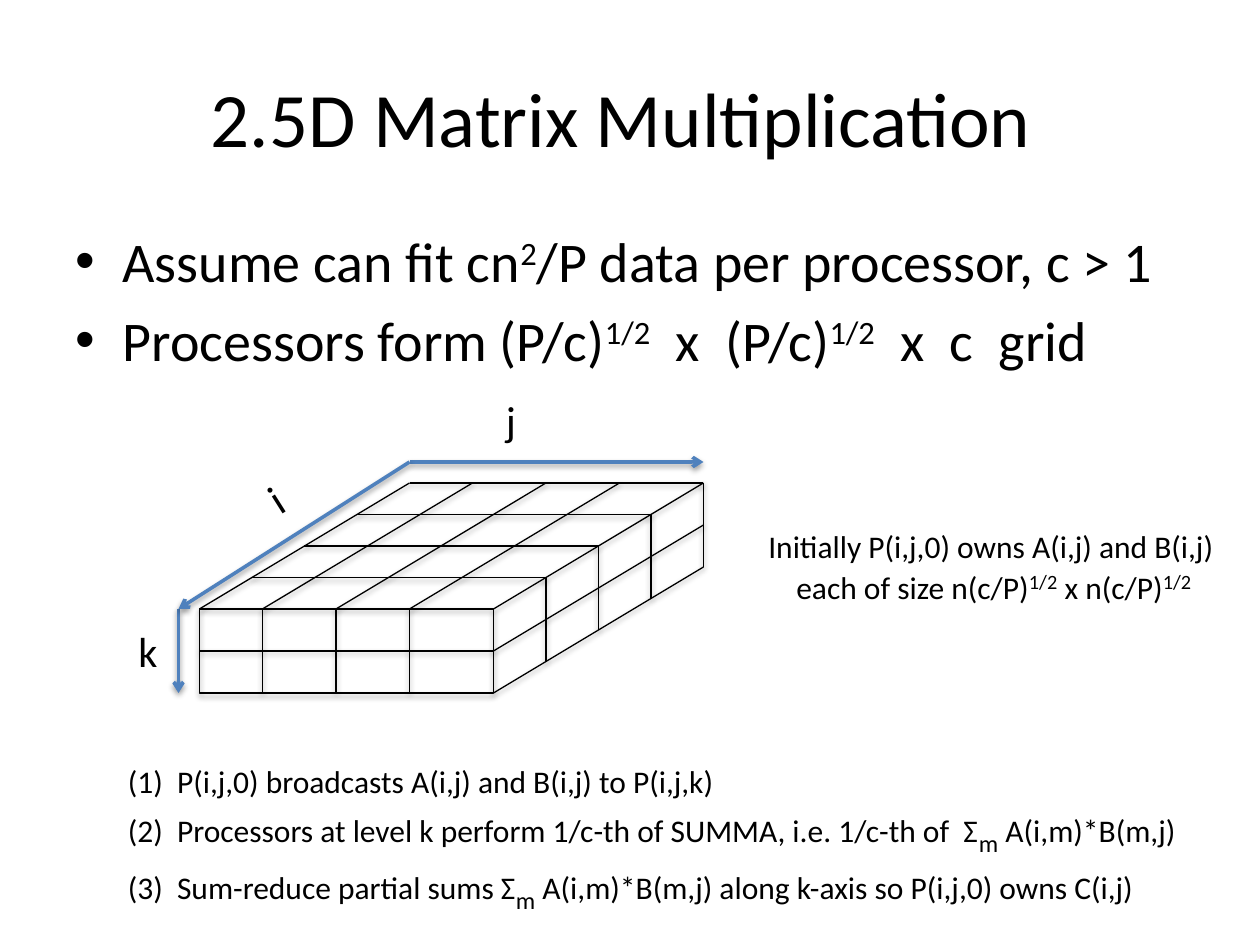
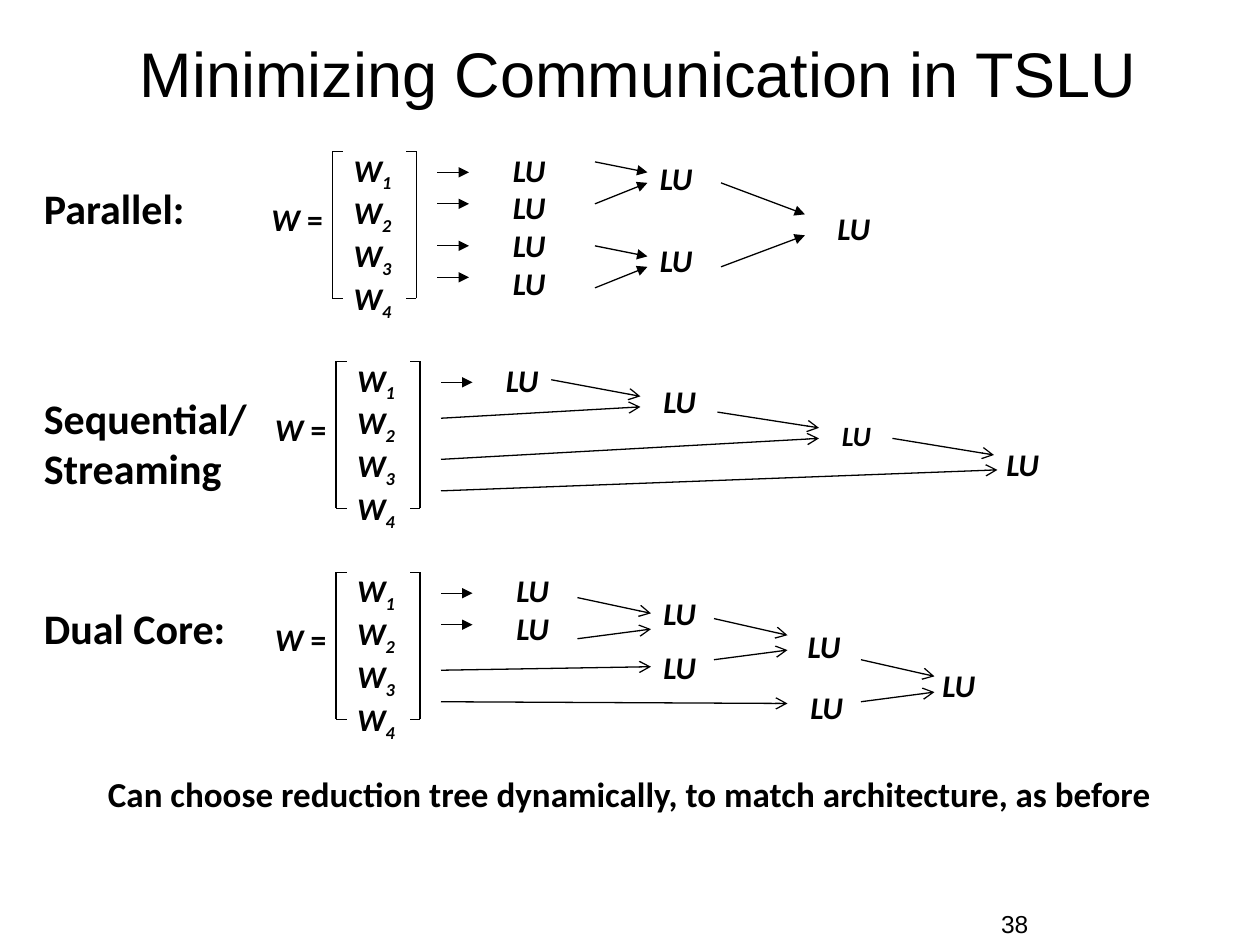
from lxml import etree
from pptx import Presentation
from pptx.dml.color import RGBColor
from pptx.enum.shapes import MSO_CONNECTOR, MSO_SHAPE
from pptx.enum.text import MSO_ANCHOR, MSO_AUTO_SIZE, PP_ALIGN
from pptx.oxml.ns import qn
from pptx.util import Pt

STRAIGHT = MSO_CONNECTOR.STRAIGHT
RECTANGLE = MSO_SHAPE.RECTANGLE
MIDDLE = MSO_ANCHOR.MIDDLE
FIXED, GROW = MSO_AUTO_SIZE.NONE, MSO_AUTO_SIZE.SHAPE_TO_FIT_TEXT
LEFT, CENTER = PP_ALIGN.LEFT, PP_ALIGN.CENTER
LEFT_SIDE, RIGHT_SIDE = 1, 3
TITLE_ONLY = 5

COLORS = {"ink": "000000", "axis": "4F81BD"}
BODY_FONT, PLAIN_FONT = "Calibri", "Arial"
SUPERSCRIPT, SUBSCRIPT = 30, -25

SCHEMES = [
    {
        "label": ["Parallel:"],
        "corner": (190, 86.5),
        "nodes": [(96, -4, 4, 18), (180, 1, 1, 18), (180, 47.5, 1, 18), (281.5, 29.5, 1, 18)],
        "inputs": [12, 30, 54, 72],
        "head": "triangle",
        "arrows": [
            (150, 6, 180, 12), (150, 30, 180, 18), (150, 54, 180, 60),
            (150, 78, 180, 66), (222, 18, 270, 36), (222, 66, 270, 48),
        ],
    },
    {
        "label": ["Sequential/", "Streaming"],
        "corner": (192, 206.5),
        "nodes": [(90, -4, 1, 18), (180, 8, 1, 18), (282, 29, 1, 16), (376, 44, 1, 18)],
        "inputs": [12],
        "head": "arrow",
        "arrows": [
            (60, 32.5, 174, 26), (123, 10.5, 174, 20), (218, 29, 276, 38),
            (60, 56, 276, 44), (318, 44, 376, 53.5), (60, 74, 378, 62),
        ],
    },
    {
        "label": ["Dual Core:"],
        "corner": (192, 327),
        "nodes": [
            (96, -4, 2, 18), (180, 9, 1, 18), (180, 39.5, 1, 18),
            (262.5, 27.5, 1, 18), (264, 62.5, 1, 18), (339.5, 50, 1, 18),
        ],
        "inputs": [12, 30],
        "head": "arrow",
        "arrows": [
            (138, 14.5, 180, 23.5), (138, 38, 180, 32.5), (216, 26.5, 258, 36),
            (216, 50, 258, 44.5), (60, 74, 258, 75), (60, 56, 180, 54),
            (300, 50, 342, 59.5), (300, 74, 342, 68.5),
        ],
    },
]


def color(name):
    """Return the named colour."""
    return RGBColor.from_string(COLORS[name])


def add_run(paragraph, text, size, font=BODY_FONT, bold=False, italic=False, baseline=0):
    """Append one formatted run."""
    run = paragraph.add_run()
    run.text = text
    run.font.name = font
    run.font.size = Pt(size)
    run.font.bold = bold
    run.font.italic = italic
    run.font.color.rgb = color("ink")
    if baseline:
        run.font._element.set("baseline", str(baseline * 1000))


def add_text(shapes, box, paragraphs, size, wrap=False, align=LEFT, **style):
    """Add a text box; a run is a string or a pair of string and own style."""
    shape = shapes.add_textbox(*map(Pt, box))
    frame = shape.text_frame
    frame.word_wrap = wrap
    frame.auto_size = GROW
    for index, runs in enumerate(paragraphs):
        paragraph = frame.paragraphs[0] if index == 0 else frame.add_paragraph()
        paragraph.alignment = align
        for run in runs:
            text, own = (run, {}) if isinstance(run, str) else run
            add_run(paragraph, text, **{"size": size, **style, **own})
    return shape


def indent(paragraph, margin, first=0):
    """Set the left margin and first-line indent of a paragraph."""
    properties = paragraph._p.get_or_add_pPr()
    properties.set("marL", str(Pt(margin)))
    properties.set("indent", str(Pt(first)))
    return properties


def add_shadow(effects):
    """Put a soft shadow below the shape that owns the effect list."""
    shadow = etree.SubElement(
        effects, qn("a:outerShdw"), blurRad=str(Pt(3.15)), dist=str(Pt(1.6)),
        dir="5400000", rotWithShape="0")
    shade = etree.SubElement(shadow, qn("a:srgbClr"), val=COLORS["ink"])
    etree.SubElement(shade, qn("a:alpha"), val="38000")


def add_line(shapes, start, end, paint="ink", width=0.75, head=None, shadow=False):
    """Add a straight line, with an arrowhead at its end if one is named."""
    connector = shapes.add_connector(STRAIGHT, *map(Pt, (*start, *end)))
    connector.line.color.rgb = color(paint)
    connector.line.width = Pt(width)
    if head:
        etree.SubElement(connector.get_or_add_ln(), qn("a:tailEnd"), type=head)
    effects = etree.SubElement(connector.element.spPr, qn("a:effectLst"))
    if shadow:
        add_shadow(effects)
    return connector


def add_title_slide(presentation, text, box, size, font):
    """Add a title-only slide and format its title."""
    slide = presentation.slides.add_slide(presentation.slide_layouts[TITLE_ONLY])
    title = slide.shapes.title
    title.left, title.top, title.width, title.height = map(Pt, box)
    frame = title.text_frame
    frame.auto_size = FIXED
    frame.vertical_anchor = MIDDLE
    paragraph = frame.paragraphs[0]
    paragraph.alignment = CENTER
    add_run(paragraph, text, size, font)
    return slide


def add_bullets(shapes, box):
    """Add the bulleted assumptions."""
    power = {"baseline": SUPERSCRIPT}
    paragraphs = [
        ["Assume can fit cn", ("2", power), "/P data per processor, c > 1"],
        ["Processors form (P/c)", ("1/2", power), "  x  (P/c)", ("1/2", power), "  x  c  grid"],
    ]
    shape = add_text(shapes, box, paragraphs, 32, wrap=True)
    for paragraph in shape.text_frame.paragraphs:
        paragraph.space_before = Pt(6.4)
        properties = indent(paragraph, 27, -27)
        etree.SubElement(properties, qn("a:buFont"), typeface=PLAIN_FONT)
        etree.SubElement(properties, qn("a:buChar"), char="•")


def add_processor_block(slide, box):
    """Draw the processor grid as an oblique block with labelled axes."""
    left, top, width, height = box
    depth_x, depth_y = 120, -72
    right, bottom = left + width, top + height
    shapes = slide.shapes.add_group_shape().shapes

    front = shapes.add_shape(RECTANGLE, *map(Pt, box))
    front.fill.background()
    front.line.color.rgb = color("ink")
    front.line.width = Pt(1)
    front.shadow.inherit = False
    add_shadow(front.element.spPr.find(qn("a:effectLst")))

    def edge(start, end):
        """Draw one edge of the block."""
        return add_line(shapes, start, end, shadow=True)

    for column in (0, 36, 78, 120, width):
        x = left + column
        edge((x, top), (x + depth_x, top + depth_y))
        if 0 < column < width:
            edge((x, top), (x, bottom))
    for step in (0.25, 0.5, 0.75, 1):
        x, y = step * depth_x, top + step * depth_y
        edge((left + x, y), (right + x, y))
        edge((right + x, y), (right + x, y + height))
    middle = top + height / 2
    layer = edge((left, middle), (right, middle))
    layer.begin_connect(front, LEFT_SIDE)
    layer.end_connect(front, RIGHT_SIDE)
    side_layer = edge((right, middle), (right + depth_x, middle + depth_y))
    side_layer.begin_connect(front, RIGHT_SIDE)
    edge((right, bottom), (right + depth_x, bottom + depth_y))

    add_text(shapes, (left - 42, top + 6, 26, 36), [["k"]], 24)
    add_text(shapes, (left + 168, top - 126, 21.5, 36), [["j"]], 24)
    add_text(shapes, (left + 33.5, top - 81, 20, 36), [["i"]], 24).rotation = 327.6

    back = (left + depth_x, top + depth_y - 12)
    near = (left - 12, top)
    for start, end in (
        (back, (right + depth_x, back[1])),
        (near, (near[0], bottom)),
        (back, near),
    ):
        add_line(slide.shapes, start, end, "axis", 2, "arrow", shadow=True)


def add_ownership_note(shapes, box):
    """Add the note on the initial data layout."""
    power = {"baseline": SUPERSCRIPT, "size": 20}
    shape = add_text(shapes, box, [
        ["Initially P(i,j,0) owns A(i,j) and B(i,j)"],
        ["each of size n(c/P)", ("1/2", power), " x n(c/P)", ("1/2", power)],
    ], 18)
    indent(shape.text_frame.paragraphs[1], 16)


def add_steps(shapes, box):
    """Add the three steps of the algorithm."""
    index = ("m", {"baseline": SUBSCRIPT, "size": 24})
    add_text(shapes, box, [
        ["(1)  P(i,j,0) broadcasts A(i,j) and B(i,j) to P(i,j,k)"],
        ["(2)  Processors at level k perform 1/c-th of SUMMA, i.e. 1/c-th of  Σ",
         index, " A(i,m)*B(m,j)"],
        ["(3)  Sum-reduce partial sums Σ", index,
         " A(i,m)*B(m,j) along k-axis so P(i,j,0) owns C(i,j)"],
    ], 18, wrap=True)


def add_block_matrix(shapes, left, top):
    """Draw W = [W1 to W4] with the bracket corner at the given point."""
    width, height, tip = 48, 84, 6
    add_text(shapes, (left - 42, top + 24, 54, 29),
             [[("W", {"italic": True}), " ="]], 18, wrap=True, bold=True)
    blocks = [["W", (str(row), {"baseline": SUBSCRIPT})] for row in range(1, 5)]
    add_text(shapes, (left + 5, top - 4, 37.5, 94.5), blocks, 18, bold=True, italic=True)
    for x, inward in ((left, tip), (left + width, -tip)):
        add_line(shapes, (x, top), (x, top + height))
        for y in (top, top + height):
            add_line(shapes, (x, y), (x + inward, y))


def join_to_nodes(connector, nodes):
    """Join the arrow to each node whose side middle it touches."""
    near = Pt(1)
    for node in nodes:
        middle = node.top + node.height / 2
        if (abs(connector.begin_x - node.left - node.width) < near
                and abs(connector.begin_y - middle) < near):
            connector.begin_connect(node, RIGHT_SIDE)
        if abs(connector.end_x - node.left) < near and abs(connector.end_y - middle) < near:
            connector.end_connect(node, LEFT_SIDE)


def add_scheme(slide, scheme):
    """Draw one reduction tree relative to its bracket corner."""
    left, top = scheme["corner"]
    shapes = slide.shapes.add_group_shape().shapes
    label = [[line] for line in scheme["label"]]
    add_text(shapes, (18, top + 14, 155, 7 + 29 * len(label)), label, 24, wrap=True, bold=True)
    add_block_matrix(shapes, left, top)
    nodes = [
        add_text(shapes, (left + x, top + y, 33, 7 + 22 * count * size / 18),
                 [["LU"]] * count, size, bold=True, italic=True)
        for x, y, count, size in scheme["nodes"]
    ]
    for y in scheme["inputs"]:
        add_line(shapes, (left + 60, top + y), (left + 78, top + y), head="triangle")
    for x1, y1, x2, y2 in scheme["arrows"]:
        arrow = add_line(shapes, (left + x1, top + y1), (left + x2, top + y2), head=scheme["head"])
        join_to_nodes(arrow, nodes)


def add_page_number(shapes, box, number):
    """Add the page number in the footer."""
    shape = add_text(shapes, box, [[number]], 14, wrap=True, font=PLAIN_FONT)
    frame = shape.text_frame
    frame.auto_size = FIXED
    frame.vertical_anchor = MIDDLE
    frame.margin_top = frame.margin_bottom = 0


def build_multiplication_slide(presentation):
    """Build the slide on 2.5D matrix multiplication."""
    slide = add_title_slide(
        presentation, "2.5D Matrix Multiplication ", (36, 21.6, 648, 90), 44, BODY_FONT)
    add_bullets(slide.shapes, (36, 126, 648, 96))
    add_processor_block(slide, (114, 348, 168, 48))
    add_ownership_note(slide.shapes, (432, 297.5, 277, 51))
    add_steps(slide.shapes, (66, 432, 628, 73))


def build_reduction_slide(presentation):
    """Build the slide on the reduction trees of TSLU."""
    slide = add_title_slide(
        presentation, "Minimizing Communication in TSLU", (36, 24.5, 657.5, 34), 36, PLAIN_FONT)
    for scheme in SCHEMES:
        add_scheme(slide, scheme)
    add_text(slide.shapes, (52, 438, 615.5, 31.5),
             [["Can choose reduction tree dynamically, to match architecture, as before"]],
             20, align=CENTER, bold=True)
    add_page_number(slide.shapes, (565, 519, 150, 18), "38")


def main():
    """Build and save the presentation."""
    presentation = Presentation()
    presentation.slide_width, presentation.slide_height = Pt(720), Pt(540)
    build_multiplication_slide(presentation)
    build_reduction_slide(presentation)
    presentation.save("out.pptx")


if __name__ == "__main__":
    main()
